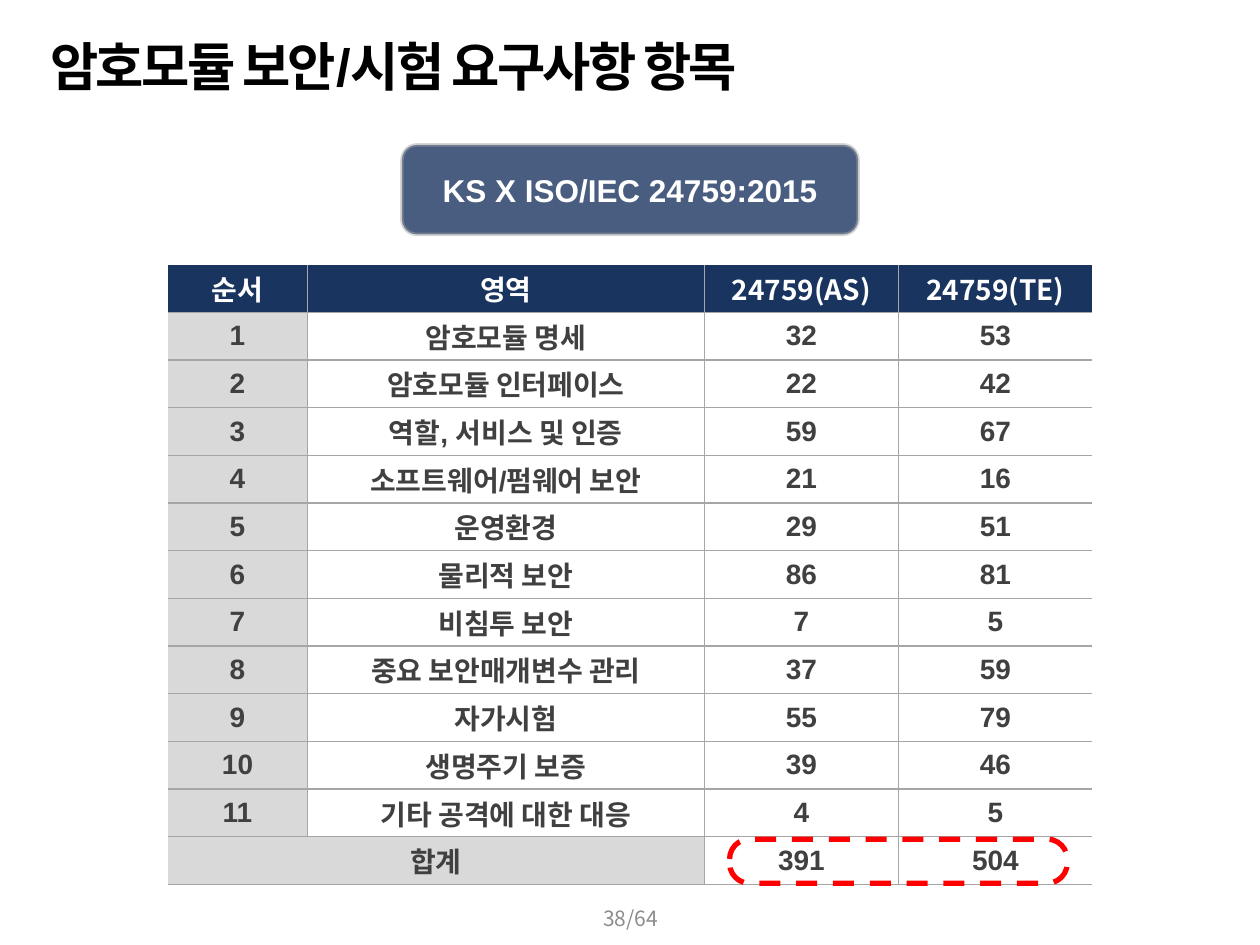
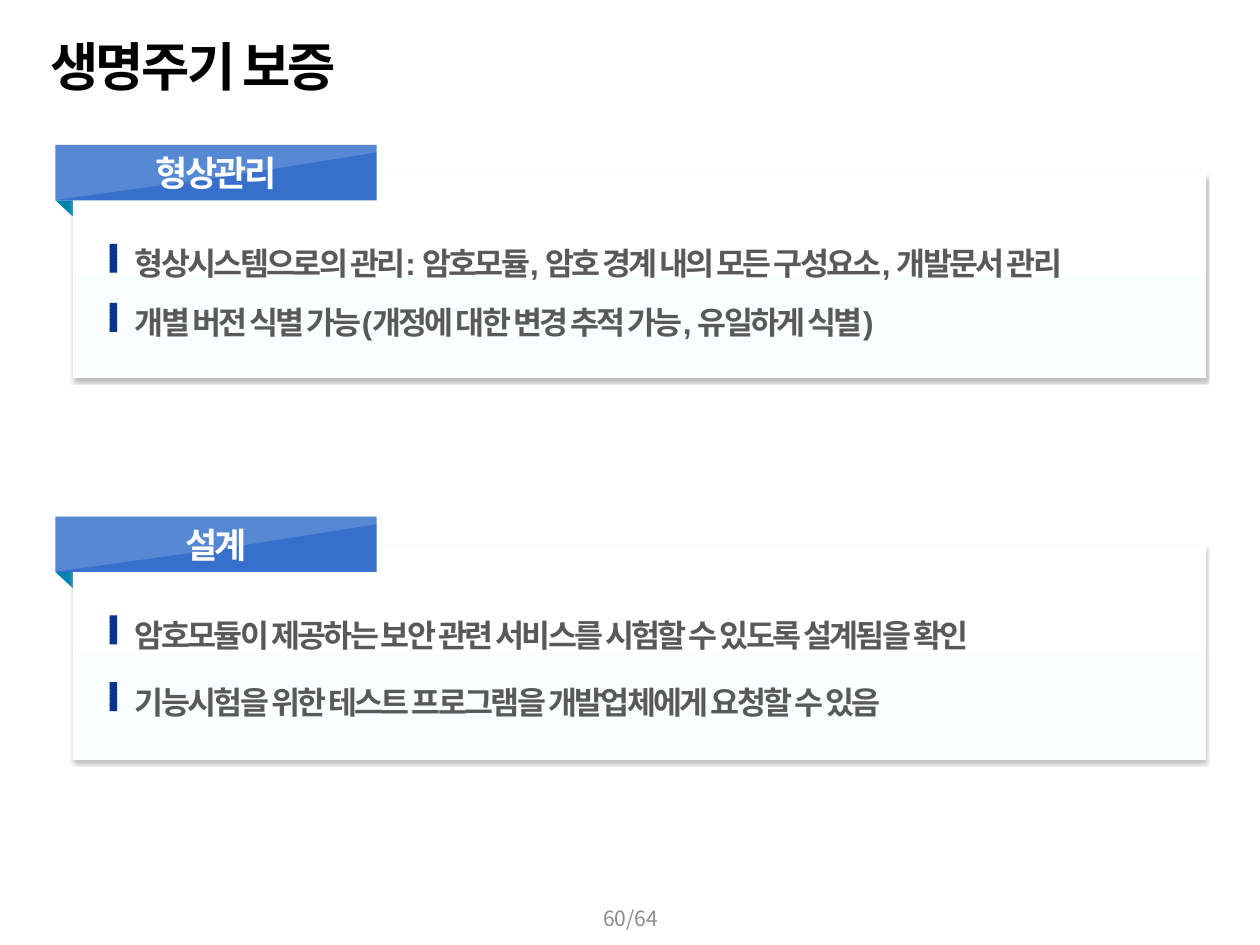
import dataclasses
import typing

import pptx
import pptx.dml.color
import pptx.enum.dml
import pptx.enum.shapes
import pptx.enum.text
import pptx.oxml
import pptx.oxml.ns
import pptx.util

RGB = pptx.dml.color.RGBColor
SHAPE = pptx.enum.shapes.MSO_SHAPE
ALIGN = pptx.enum.text.PP_ALIGN
ANCHOR = pptx.enum.text.MSO_ANCHOR

WHITE = RGB(0xFF, 0xFF, 0xFF)
BLACK = RGB(0x00, 0x00, 0x00)
RED = RGB(0xFF, 0x00, 0x00)
NAVY = RGB(0x19, 0x34, 0x5F)
SLATE = RGB(0x48, 0x5D, 0x7F)
RIBBON_BLUE = RGB(0x36, 0x70, 0xCC)
FOLD_TEAL = RGB(0x00, 0x82, 0xB0)
PALE_BLUE = RGB(0xFB, 0xFE, 0xFF)
MARK_LIGHT = RGB(0x2E, 0x64, 0xB4)
MARK_DARK = RGB(0x00, 0x2D, 0x89)
CELL_GRAY = RGB(0xD9, 0xD9, 0xD9)
RULE_GRAY = RGB(0xA6, 0xA6, 0xA6)
SHADOW_GRAY = RGB(0xBF, 0xBF, 0xBF)
TABLE_TEXT = RGB(0x40, 0x40, 0x40)
BODY_TEXT = RGB(0x59, 0x59, 0x59)
FOOTER_TEXT = RGB(0x8C, 0x8C, 0x8C)

LATIN_FONT = "Arial"
KOREAN_FONT = "Noto Sans CJK KR"
TIGHT = -1.5

SLIDE_WIDTH = pptx.util.Inches(10)
SLIDE_HEIGHT = pptx.util.Inches(7.5)
GRID_COLUMNS = 100
GRID_ROWS = 75
PAGE_TOTAL = 64


def columns(count: float) -> int:
    return round(SLIDE_WIDTH * count / GRID_COLUMNS)


def rows(count: float) -> int:
    return round(SLIDE_HEIGHT * count / GRID_ROWS)


class Frame(typing.NamedTuple):
    """A place on the slide, in grid columns and rows."""
    left: float
    top: float
    width: float
    height: float

    def lengths(self) -> tuple[int, int, int, int]:
        return columns(self.left), rows(self.top), columns(self.width), rows(self.height)


@dataclasses.dataclass(frozen=True)
class Section:
    label: str
    top: float
    panel_height: float
    first_line: float
    line_pitch: float
    lines: tuple[str, ...]


TITLE = Frame(2.4, 2.2, 90, 5.7)
FOOTER = Frame(38.8, 70.9, 22.5, 4)
BADGE = Frame(31.9, 11.5, 36.2, 7.1)
TABLE = Frame(13.3, 21, 73.4, 49.2)
TOTAL_MARK = Frame(57.9, 66.6, 26.8, 3.5)
TABLE_COLUMNS = (11.1, 31.5, 15.4, 15.4)

HEADINGS = ("순서", "영역", "24759(AS)", "24759(TE)")
AREAS = (
    ("암호모듈 명세", 32, 53),
    ("암호모듈 인터페이스", 22, 42),
    ("역할, 서비스 및 인증", 59, 67),
    ("소프트웨어/펌웨어 보안", 21, 16),
    ("운영환경", 29, 51),
    ("물리적 보안", 86, 81),
    ("비침투 보안", 7, 5),
    ("중요 보안매개변수 관리", 37, 59),
    ("자가시험", 55, 79),
    ("생명주기 보증", 39, 46),
    ("기타 공격에 대한 대응", 4, 5),
)
SECTIONS = (
    Section("형상관리", 11.5, 16.2, 7.6, 4.7, (
        "형상시스템으로의 관리: 암호모듈, 암호 경계 내의 모든 구성요소, 개발문서 관리",
        "개별 버전 식별 가능(개정에 대한 변경 추적 가능, 유일하게 식별)",
    )),
    Section("설계", 41, 17, 7.6, 5.3, (
        "암호모듈이 제공하는 보안 관련 서비스를 시험할 수 있도록 설계됨을 확인",
        "기능시험을 위한 테스트 프로그램을 개발업체에게 요청할 수 있음",
    )),
)


def add_xml(parent, tag: str, **attributes):
    element = pptx.oxml.parse_xml(f"<a:{tag} {pptx.oxml.ns.nsdecls('a')}/>")
    for name, value in attributes.items():
        element.set(name, str(value))
    parent.append(element)
    return element


def set_alpha(fill_parent, percent: int) -> None:
    """Make the solid colour under an element partly transparent."""
    colour = fill_parent.find(".//" + pptx.oxml.ns.qn("a:srgbClr"))
    add_xml(colour, "alpha", val=percent * 1000)


def write(frame, text: str, *, size: float, color: RGB, font: str = LATIN_FONT,
          bold: bool = True, align: ALIGN = ALIGN.LEFT, spacing: float = 0) -> None:
    para = frame.paragraphs[0]
    para.alignment = align
    span = para.add_run()
    span.text = text
    span.font.size = pptx.util.Pt(size)
    span.font.bold = bold
    span.font.name = font
    span.font.color.rgb = color
    properties = span.font._element
    add_xml(properties, "ea", typeface=KOREAN_FONT)
    if spacing:
        properties.set("spc", str(round(spacing * 100)))


def add_text(page, place: Frame, text: str, *, insets: tuple = (1, 0.5, 1, 0.5),
             anchor: ANCHOR = ANCHOR.TOP, **style) -> None:
    """Add a text box; insets are left, top, right, bottom on the grid."""
    frame = page.shapes.add_textbox(*place.lengths()).text_frame
    frame.word_wrap = True
    frame.vertical_anchor = anchor
    left, top, right, bottom = insets
    frame.margin_left, frame.margin_right = columns(left), columns(right)
    frame.margin_top, frame.margin_bottom = rows(top), rows(bottom)
    write(frame, text, **style)


def add_box(page, kind: SHAPE, place: Frame, fill: RGB | None = None):
    box = page.shapes.add_shape(kind, *place.lengths())
    box.shadow.inherit = False
    box.line.fill.background()
    if fill is None:
        box.fill.background()
    else:
        box.fill.solid()
        box.fill.fore_color.rgb = fill
    return box


def start_page(deck, title: str, number: int):
    page = deck.slides.add_slide(deck.slide_layouts[6])
    add_text(page, TITLE, title, insets=(1.6, 0.5, 1, 0.5),
             size=30, color=BLACK, spacing=TIGHT)
    add_text(page, FOOTER, f"{number}/{PAGE_TOTAL}", anchor=ANCHOR.MIDDLE, size=12,
             color=FOOTER_TEXT, font=KOREAN_FONT, bold=False, align=ALIGN.CENTER)
    return page


def set_borders(cell, visible: dict[str, bool]) -> None:
    properties = cell._tc.get_or_add_tcPr()
    for side in "LRTB":
        line = add_xml(properties, f"ln{side}", w=pptx.util.Pt(1))
        if visible[side]:
            add_xml(add_xml(line, "solidFill"), "srgbClr", val=RULE_GRAY)
        else:
            add_xml(line, "noFill")


def add_area_table(page) -> None:
    totals = [sum(area[index] for area in AREAS) for index in (1, 2)]
    records = [HEADINGS, *((number, *area) for number, area in enumerate(AREAS, 1)),
               ("합계", "", *totals)]
    last_row, last_column = len(records) - 1, len(HEADINGS) - 1
    table = page.shapes.add_table(len(records), len(HEADINGS), *TABLE.lengths()).table
    table.first_row = table.horz_banding = False
    for column, width in zip(table.columns, TABLE_COLUMNS):
        column.width = columns(width)
    for row in table.rows:
        row.height = rows(TABLE.height / len(records))
    for r, record in enumerate(records):
        for c, value in enumerate(record):
            cell = table.cell(r, c)
            set_borders(cell, {"L": c > 0, "R": c < last_column, "T": r > 0, "B": True})
            cell.fill.solid()
            cell.fill.fore_color.rgb = NAVY if r == 0 else CELL_GRAY if c == 0 else WHITE
            cell.vertical_anchor = ANCHOR.MIDDLE
            cell.margin_left = cell.margin_right = columns(0.4)
            cell.margin_top = cell.margin_bottom = rows(0.2)
            if value != "":
                write(cell.text_frame, str(value), size=16, align=ALIGN.CENTER,
                      color=TABLE_TEXT if r else WHITE,
                      font=LATIN_FONT if r else KOREAN_FONT)
    table.cell(last_row, 0).merge(table.cell(last_row, 1))


def add_requirements_page(deck) -> None:
    page = start_page(deck, "암호모듈 보안/시험 요구사항 항목", 38)
    badge = add_box(page, SHAPE.ROUNDED_RECTANGLE, BADGE, SLATE)
    badge.line.color.rgb = RULE_GRAY
    badge.line.width = pptx.util.Pt(2)
    set_alpha(badge.line._ln, 45)
    badge.text_frame.vertical_anchor = ANCHOR.MIDDLE
    write(badge.text_frame, "KS X ISO/IEC 24759:2015", size=18, color=WHITE,
          align=ALIGN.CENTER)
    add_area_table(page)
    mark = add_box(page, SHAPE.ROUNDED_RECTANGLE, TOTAL_MARK)
    mark.adjustments[0] = 0.45
    mark.line.color.rgb = RED
    mark.line.width = pptx.util.Pt(3)
    mark.line.dash_style = pptx.enum.dml.MSO_LINE.DASH


def add_panel(page, place: Frame) -> None:
    """Add a white panel with a faint gradient and a drop shadow."""
    panel = add_box(page, SHAPE.RECTANGLE, place, WHITE)
    panel.fill.gradient()
    panel.fill.gradient_angle = 270
    for stop, color, position in zip(panel.fill.gradient_stops, (WHITE, PALE_BLUE), (0, 1)):
        stop.color.rgb = color
        stop.position = position
    effects = panel._element.spPr.find(pptx.oxml.ns.qn("a:effectLst"))
    shadow = add_xml(effects, "outerShdw", blurRad=pptx.util.Pt(2), dist=pptx.util.Pt(2),
                     dir=90 * 60000, algn="t", rotWithShape=0)
    add_xml(shadow, "srgbClr", val=SHADOW_GRAY)


def add_ribbon(page, top: float, label: str) -> None:
    band = Frame(4.4, top, 25.5, 4.4)
    add_box(page, SHAPE.RECTANGLE, band, RIBBON_BLUE)
    corners = [(4.2, 0), (33.7, 0), (17.9, 2.5), (4.2, 4.4)]
    points = [(columns(x), rows(top + y)) for x, y in corners]
    builder = page.shapes.build_freeform(*points[0])
    builder.add_line_segments(points[1:], close=True)
    sheen = builder.convert_to_shape()
    sheen.shadow.inherit = False
    sheen.line.fill.background()
    sheen.fill.solid()
    sheen.fill.fore_color.rgb = WHITE
    set_alpha(sheen._element.spPr, 17)
    add_text(page, band, label, insets=(0, 0, 0, 0), anchor=ANCHOR.MIDDLE, size=20,
             color=WHITE, align=ALIGN.CENTER, spacing=TIGHT)


def add_marked_line(page, top: float, text: str) -> None:
    add_text(page, Frame(8.7, top, 86.9, 3), text, insets=(2, 0.28, 0.4, 0),
             size=18, color=BODY_TEXT, spacing=TIGHT)
    mark = add_box(page, SHAPE.RECTANGLE, Frame(8.7, top + 0.25, 0.6, 2.3))
    mark.fill.patterned()
    mark.fill.pattern = pptx.enum.dml.MSO_PATTERN.LIGHT_UPWARD_DIAGONAL
    mark.fill.fore_color.rgb = MARK_LIGHT
    mark.fill.back_color.rgb = MARK_DARK


def add_section(page, section: Section) -> None:
    fold = add_box(page, SHAPE.RIGHT_TRIANGLE, Frame(4.5, section.top + 4.3, 2.7, 2.9),
                   FOLD_TEAL)
    fold.rotation = 270
    fold._element.spPr.xfrm.set("flipH", "1")
    add_panel(page, Frame(5.8, section.top + 2.3, 89.9, section.panel_height))
    add_ribbon(page, section.top, section.label)
    for index, line in enumerate(section.lines):
        add_marked_line(page, section.top + section.first_line + index * section.line_pitch,
                        line)


def add_life_cycle_page(deck) -> None:
    page = start_page(deck, "생명주기 보증", 60)
    for section in SECTIONS:
        add_section(page, section)


def main() -> None:
    deck = pptx.Presentation()
    deck.slide_width, deck.slide_height = SLIDE_WIDTH, SLIDE_HEIGHT
    add_requirements_page(deck)
    add_life_cycle_page(deck)
    deck.save("out.pptx")


if __name__ == "__main__":
    main()
